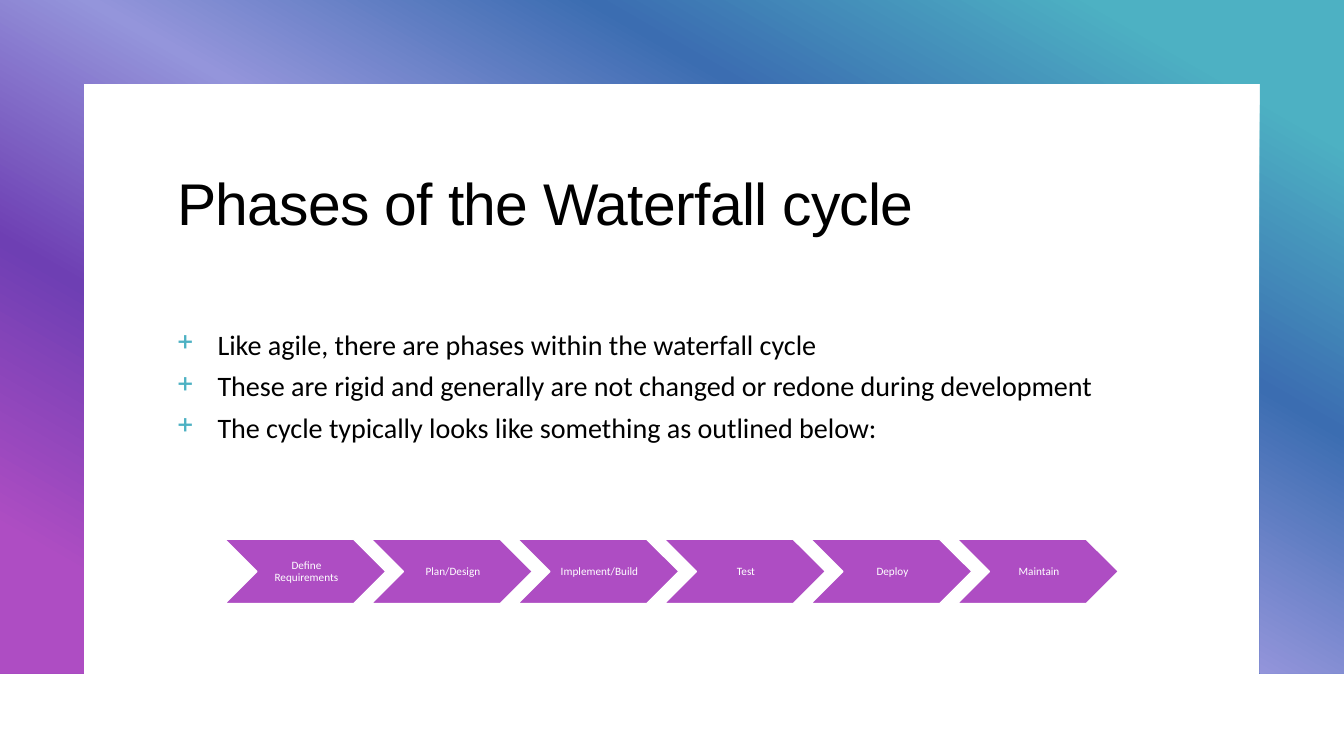
from lxml import etree
from pptx import Presentation
from pptx import util as u
from pptx.dml.color import RGBColor
from pptx.enum import shapes, text
from pptx.oxml import ns

# Content
TITLE = "Phases of the Waterfall cycle"
POINTS = [
    "Like agile, there are phases within the waterfall cycle",
    "These are rigid and generally are not changed or redone during development",
    "The cycle typically looks like something as outlined below:",
]
PHASES = ["Define Requirements", "Plan/Design", "Implement/Build",
          "Test", "Deploy", "Maintain"]

# Colours
BLACK, WHITE, TEAL, PURPLE = "000000", "FFFFFF", "4DB1C3", "AE4DC3"
GRADIENT = [(10, TEAL), (30, "3B6DB1"), (50, "9495DB"), (70, "6E3FB3"), (90, PURPLE)]
GRADIENT_ANGLE = 120

# Layout, in points
WIDTH, HEIGHT = 960, 540
FRAME_BOTTOM, BORDER, PANEL_RIGHT = 481, 60.5, 900.5
TEXT_LEFT, TEXT_WIDTH = 119.5, 720
TITLE_TOP, TITLE_HEIGHT = 119.5, 106
POINTS_TOP, POINTS_HEIGHT, POINT_INDENT = 234, 114, 28.8
PHASE_LEFT, PHASE_TOP, PHASE_STEP = 160.5, 385.2, 104.65
PHASE_WIDTH, PHASE_HEIGHT = 115.2, 46


def colour(value):
    return RGBColor.from_string(value)


def add_xml(parent, tag, **attributes):
    return etree.SubElement(parent, ns.qn(tag), attributes)


def style(para, font, size, value, spacing):
    para.font.name = font
    para.font.size = u.Pt(size)
    para.font.color.rgb = colour(value)
    para.line_spacing = spacing


def add_frame(page):
    """Gradient border, open at the bottom, around the white panel."""
    corners = [(WIDTH, 0), (WIDTH, FRAME_BOTTOM), (PANEL_RIGHT, FRAME_BOTTOM),
               (PANEL_RIGHT, BORDER), (BORDER, BORDER),
               (BORDER, FRAME_BOTTOM), (0, FRAME_BOTTOM)]
    builder = page.shapes.build_freeform(0, 0, scale=u.Pt(1))
    builder.add_line_segments(corners, close=True)
    frame = builder.convert_to_shape()
    frame.shadow.inherit = False
    frame.line.fill.background()
    frame.fill.gradient()
    frame.fill.gradient_angle = 360 - GRADIENT_ANGLE
    stops = frame.element.spPr.find(ns.qn("a:gradFill")).find(ns.qn("a:gsLst"))
    for stop in list(stops):
        stops.remove(stop)
    for percent, value in GRADIENT:
        stop = add_xml(stops, "a:gs", pos=str(percent * 1000))
        add_xml(stop, "a:srgbClr", val=value)
    page.shapes.element.insert(2, frame.element)  # behind the title


def add_title(page):
    title = page.shapes.title
    title.left, title.top = u.Pt(TEXT_LEFT), u.Pt(TITLE_TOP)
    title.width, title.height = u.Pt(TEXT_WIDTH), u.Pt(TITLE_HEIGHT)
    frame = title.text_frame
    frame.text = TITLE
    frame.auto_size = text.MSO_AUTO_SIZE.NONE
    frame.vertical_anchor = text.MSO_ANCHOR.TOP
    para = frame.paragraphs[0]
    para.alignment = text.PP_ALIGN.LEFT
    style(para, "Arial", 42, BLACK, 0.95)
    para.runs[0].font._element.set("spc", "-50")


def add_points(page):
    box = page.shapes.add_textbox(u.Pt(TEXT_LEFT), u.Pt(POINTS_TOP),
                                  u.Pt(TEXT_WIDTH), u.Pt(POINTS_HEIGHT))
    frame = box.text_frame
    frame.word_wrap = True
    frame.text = "\n".join(POINTS)
    for para in frame.paragraphs:
        style(para, "Calibri", 20.1, BLACK, 0.85)
        para.space_before = u.Pt(9)
        # Hanging teal plus sign; bullets come before the paragraph's font
        properties = para._p.get_or_add_pPr()
        indent = u.Pt(POINT_INDENT)
        properties.set("marL", str(indent))
        properties.set("indent", str(-indent))
        bullet_colour = etree.Element(ns.qn("a:buClr"))
        add_xml(bullet_colour, "a:srgbClr", val=TEAL)
        bullet = etree.Element(ns.qn("a:buChar"), char="+")
        font = properties.find(ns.qn("a:defRPr"))
        font.addprevious(bullet_colour)
        font.addprevious(bullet)


def add_phases(page):
    for index, phase in enumerate(PHASES):
        chevron = page.shapes.add_shape(
            shapes.MSO_SHAPE.CHEVRON,
            u.Pt(PHASE_LEFT + index * PHASE_STEP), u.Pt(PHASE_TOP),
            u.Pt(PHASE_WIDTH), u.Pt(PHASE_HEIGHT))
        chevron.shadow.inherit = False
        chevron.fill.solid()
        chevron.fill.fore_color.rgb = colour(PURPLE)
        chevron.line.color.rgb = colour(WHITE)
        chevron.line.width = u.Pt(1)
        frame = chevron.text_frame
        frame.text = phase
        frame.word_wrap = True
        frame.vertical_anchor = text.MSO_ANCHOR.MIDDLE
        frame.margin_left = u.Pt(2.5)
        frame.margin_right = frame.margin_top = frame.margin_bottom = u.Pt(0.8)
        para = frame.paragraphs[0]
        para.alignment = text.PP_ALIGN.CENTER
        style(para, "Calibri", 8, WHITE, 0.9)


def main():
    deck = Presentation()
    deck.slide_width, deck.slide_height = u.Pt(WIDTH), u.Pt(HEIGHT)
    page = deck.slides.add_slide(deck.slide_layouts[5])
    add_frame(page)
    add_title(page)
    add_points(page)
    add_phases(page)
    deck.save("out.pptx")


if __name__ == "__main__":
    main()
